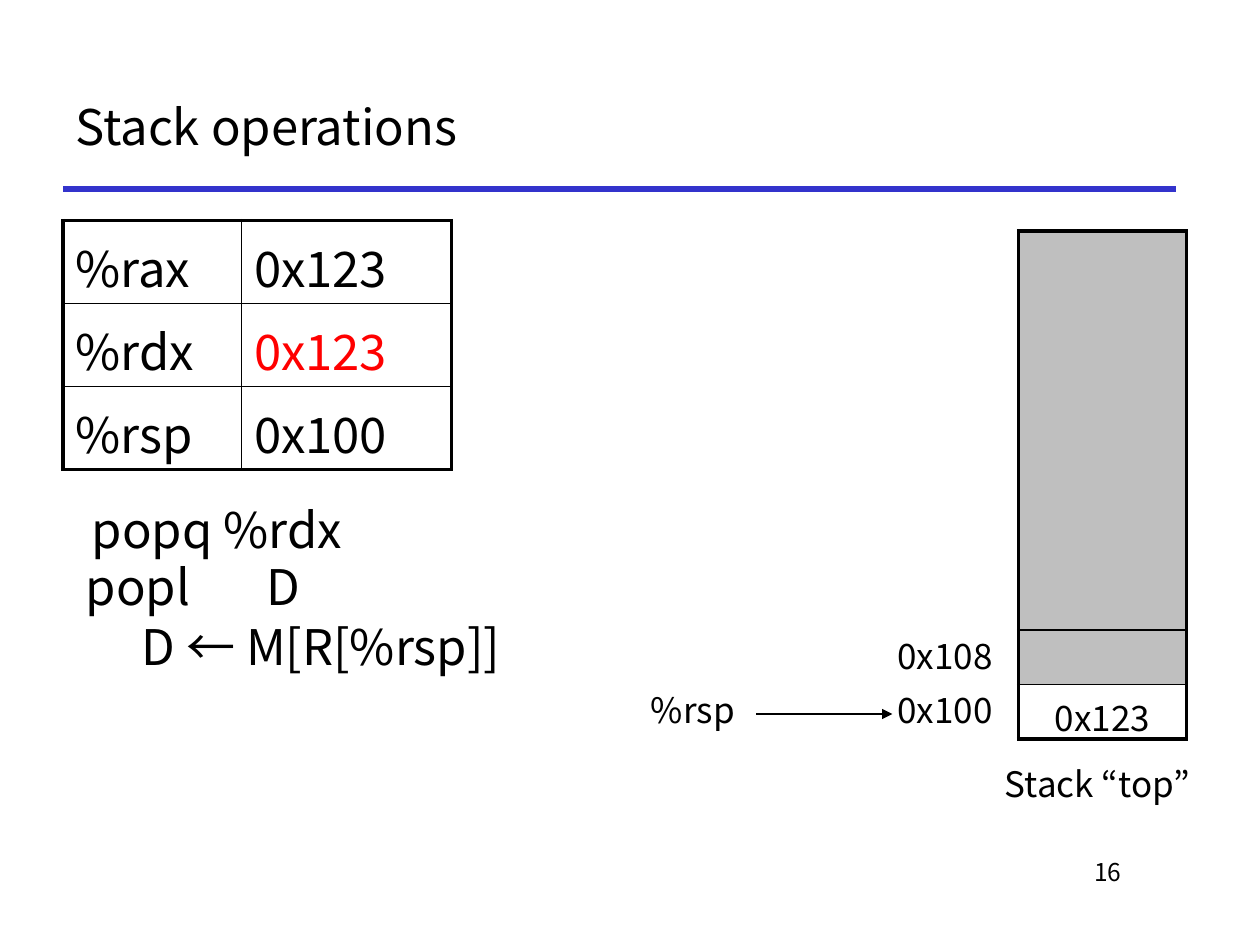
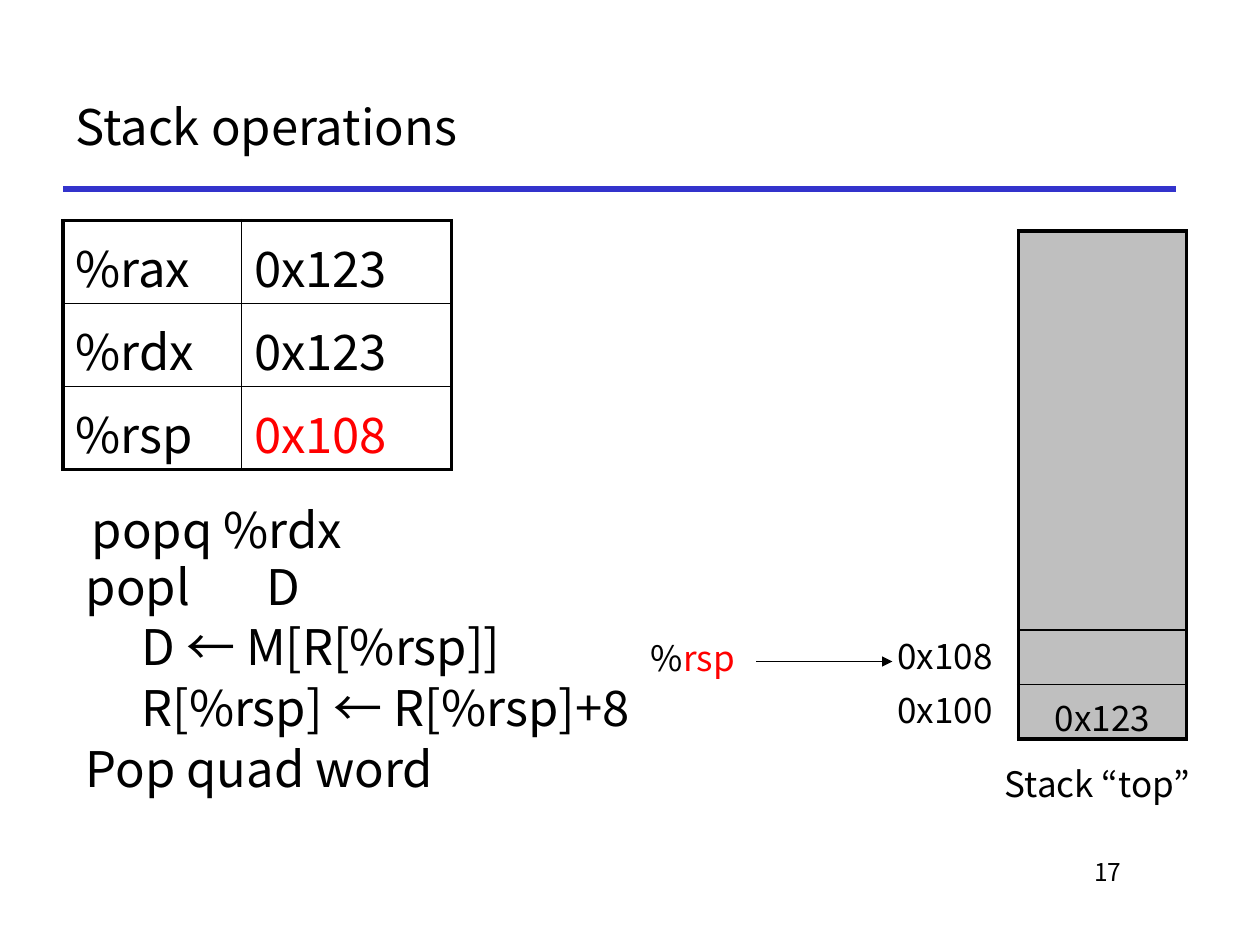
from lxml.etree import SubElement
from pptx import Presentation
from pptx.dml.color import RGBColor
from pptx.enum.shapes import MSO_CONNECTOR, MSO_SHAPE
from pptx.enum.text import MSO_ANCHOR, MSO_AUTO_SIZE, PP_ALIGN
from pptx.oxml import parse_xml
from pptx.oxml.ns import nsdecls, qn
from pptx.util import Pt

PX = 7620  # EMU in one px, 120 px to the inch
FONT = "Noto Sans CJK KR"
BLACK, WHITE, RED, GRAY, BLUE = "000000", "FFFFFF", "FF0000", "808080", "3333CC"
BODY, LABEL, SMALL = 28, 20, 14
THICK, THIN = 2.25, 1


def color(hex_text):
    return RGBColor.from_string(hex_text)


def scaled(*lengths):
    return [length * PX for length in lengths]


def format_runs(paragraph, size, hex_text=BLACK):
    for run in paragraph.runs:
        run.font.name = FONT
        run.font.size = Pt(size)
        run.font.color.rgb = color(hex_text)


def add_text(slide, box, text, size, align=PP_ALIGN.LEFT, anchor=MSO_ANCHOR.TOP, wrap=True):
    shape = slide.shapes.add_textbox(*scaled(*box))
    frame = shape.text_frame
    frame.word_wrap = wrap
    frame.vertical_anchor = anchor
    frame.text = text
    for paragraph in frame.paragraphs:
        paragraph.alignment = align
        format_runs(paragraph, size)
    return shape


def add_line(slide, start, end, hex_text, width):
    connector = slide.shapes.add_connector(MSO_CONNECTOR.STRAIGHT, *scaled(*start, *end))
    connector.line.color.rgb = color(hex_text)
    connector.line.width = Pt(width)
    SubElement(connector._element.spPr, qn("a:effectLst"))
    return connector


def add_label(slide, box, text):
    shape = slide.shapes.add_shape(MSO_SHAPE.RECTANGLE, *scaled(*box))
    shape.shadow.inherit = False
    shape.fill.background()
    shape.line.color.rgb = color(WHITE)
    shape.line.width = Pt(0.75)
    frame = shape.text_frame
    frame.word_wrap = True
    frame.auto_size = MSO_AUTO_SIZE.SHAPE_TO_FIT_TEXT
    frame.vertical_anchor = MSO_ANCHOR.TOP
    frame.text = text
    frame.paragraphs[0].alignment = PP_ALIGN.CENTER
    format_runs(frame.paragraphs[0], LABEL)


def add_grid(slide, left, top, widths, heights):
    """Plain table with a thick outline and thin inner lines."""
    rows, columns = len(heights), len(widths)
    box = scaled(left, top, sum(widths), sum(heights))
    table = slide.shapes.add_table(rows, columns, *box).table
    table.first_row = table.horz_banding = False
    for column, width in zip(table.columns, widths):
        column.width = width * PX
    for row, height in zip(table.rows, heights):
        row.height = height * PX
    for r in range(rows):
        for c in range(columns):
            cell = table.cell(r, c)
            cell.fill.background()
            outer = {"L": c == 0, "R": c == columns - 1, "T": r == 0, "B": r == rows - 1}
            set_borders(cell, outer)
    return table


def set_borders(cell, outer):
    properties = cell._tc.get_or_add_tcPr()
    for index, (side, is_outer) in enumerate(outer.items()):
        width = Pt(THICK if is_outer else THIN)
        properties.insert(index, parse_xml(
            f'<a:ln{side} {nsdecls("a")} w="{width}"><a:solidFill>'
            f'<a:srgbClr val="{BLACK}"/></a:solidFill></a:ln{side}>'))


def fill_half_transparent(cell, hex_text):
    cell.fill.solid()
    cell.fill.fore_color.rgb = color(hex_text)
    fill_color = cell._tc.tcPr.find(qn("a:solidFill"))[0]
    SubElement(fill_color, qn("a:alpha"), val="50000")


def add_frame(slide, number):
    # Title, rule and page number
    add_text(slide, (60, 60, 1060, 120), "Stack operations", BODY, anchor=MSO_ANCHOR.MIDDLE)
    add_line(slide, (60, 180), (1120, 180), BLUE, 3)
    add_text(slide, (910, 810, 170, 60), str(number), SMALL, PP_ALIGN.RIGHT)


def add_registers(slide, left, top, registers, changed):
    table = add_grid(slide, left, top, (170, 200), (79,) * len(registers))
    for r, register in enumerate(registers.items()):
        for c, text in enumerate(register):
            cell = table.cell(r, c)
            cell.margin_top = 10 * PX
            cell.text_frame.text = text
            is_changed = c == 1 and register[0] == changed
            format_runs(cell.text_frame.paragraphs[0], BODY, RED if is_changed else BLACK)


def add_instruction(slide, left, top, lines):
    # Executed instruction
    example = add_text(slide, (left, top, 271, 68), "popq %rdx", BODY, PP_ALIGN.CENTER, wrap=False)
    example.text_frame.auto_size = MSO_AUTO_SIZE.SHAPE_TO_FIT_TEXT

    # Definition: indented lines describe its effect
    text = "\n".join(line for line, _ in lines)
    definition = add_text(slide, (left - 1, top + 54, 550, 282), text, BODY)
    for index, (paragraph, (_, level)) in enumerate(zip(definition.text_frame.paragraphs, lines)):
        properties = paragraph._p.get_or_add_pPr()
        if index:
            paragraph.space_before = Pt(1)
        if level:
            paragraph.level = level
            properties.set("marL", str(53 * PX))
            properties.set("indent", "0")
        if "\t" in paragraph.text:
            tabs = SubElement(properties, qn("a:tabLst"))
            SubElement(tabs, qn("a:tab"), pos=str(172 * PX), algn="l")


def add_stack(slide, left, top, bottom_fill):
    # Memory cells
    table = add_grid(slide, left, top, (160,), (380, 52, 52))
    for r, hex_text in enumerate((GRAY, GRAY, bottom_fill)):
        fill_half_transparent(table.cell(r, 0), hex_text)
    bottom = table.cell(2, 0)
    bottom.margin_top, bottom.margin_bottom = 6 * PX, 0
    bottom.text_frame.text = "0x123"
    bottom.text_frame.paragraphs[0].alignment = PP_ALIGN.CENTER
    format_runs(bottom.text_frame.paragraphs[0], LABEL)

    # Addresses and caption
    for row, address in enumerate(("0x108", "0x100")):
        add_label(slide, (left - 130, top + 378 + 52 * row, 120, 53), address)
    add_label(slide, (left - 30, top + 500, 210, 53), "Stack “top”")


def add_pointer(slide, left, top, changed):
    # Stack pointer and its arrow to an address
    label = add_text(slide, (left, top, 120, 53), "%", LABEL, PP_ALIGN.CENTER)
    label.text_frame.auto_size = MSO_AUTO_SIZE.SHAPE_TO_FIT_TEXT
    paragraph = label.text_frame.paragraphs[0]
    paragraph.add_run().text = "rsp"
    format_runs(paragraph, LABEL)
    if changed:
        paragraph.runs[1].font.color.rgb = color(RED)
    arrow = add_line(slide, (left + 120, top + 30), (left + 250, top + 30), BLACK, 0.75)
    SubElement(arrow.line._get_or_add_ln(), qn("a:tailEnd"), type="triangle")


def add_stack_slide(presentation, number, rsp, changed, lines, bottom_fill, pointer_top):
    slide = presentation.slides.add_slide(presentation.slide_layouts[6])
    add_frame(slide, number)
    add_registers(slide, 60, 210, {"%rax": "0x123", "%rdx": "0x123", "%rsp": rsp}, changed)
    add_instruction(slide, 71, 470, lines)
    add_stack(slide, 970, 220, bottom_fill)
    add_pointer(slide, 600, pointer_top, changed == "%rsp")


def main():
    presentation = Presentation()
    presentation.slide_width, presentation.slide_height = scaled(1200, 900)

    read_step = [("popl\tD", 0), ("D ← M[R[%rsp]]", 1)]
    move_step = [("R[%rsp] ← R[%rsp]+8", 1), ("Pop quad word", 0)]
    add_stack_slide(presentation, 16, "0x100", "%rdx", read_step, WHITE, 650)
    add_stack_slide(presentation, 17, "0x108", "%rsp", read_step + move_step, GRAY, 600)
    presentation.save("out.pptx")


if __name__ == "__main__":
    main()
